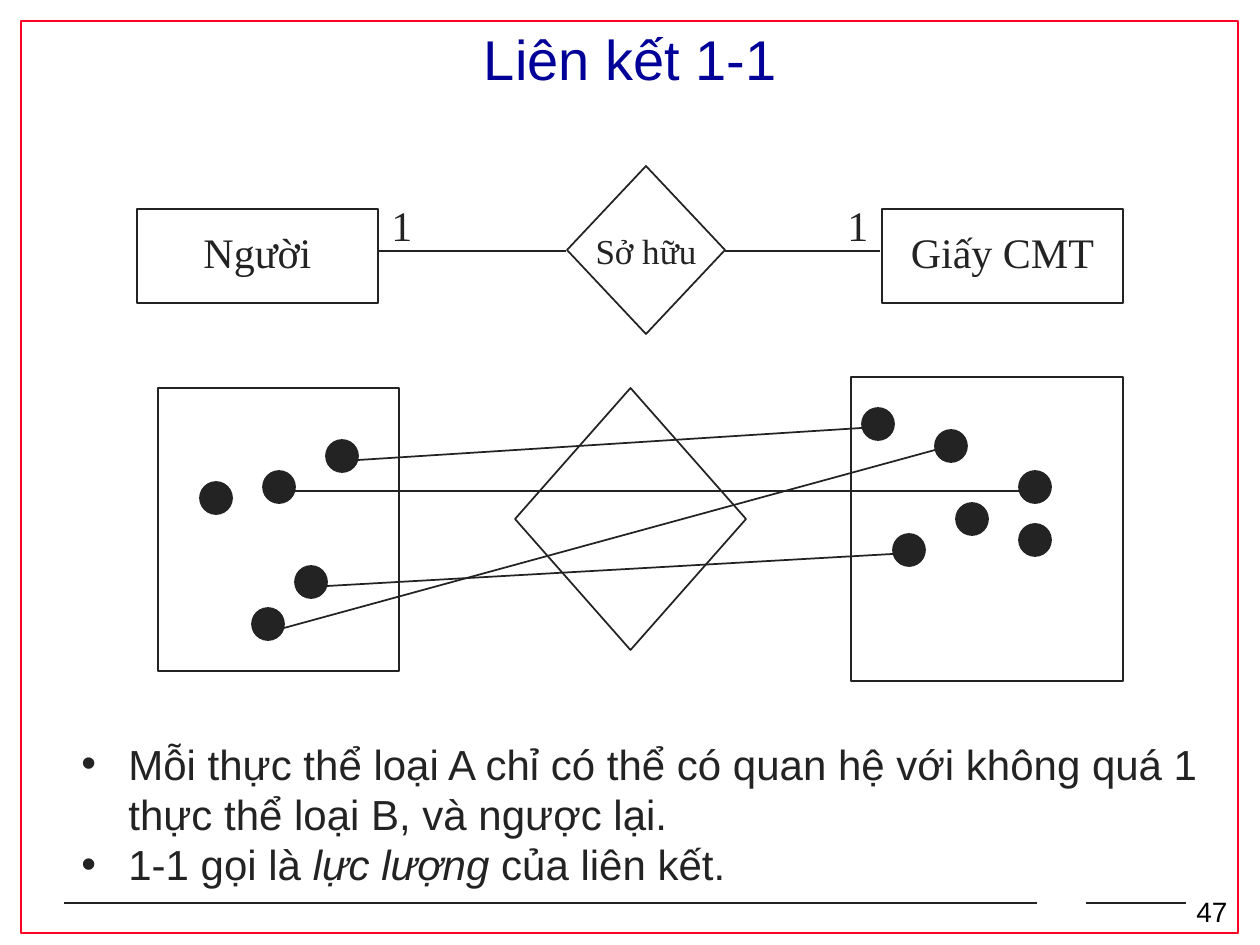
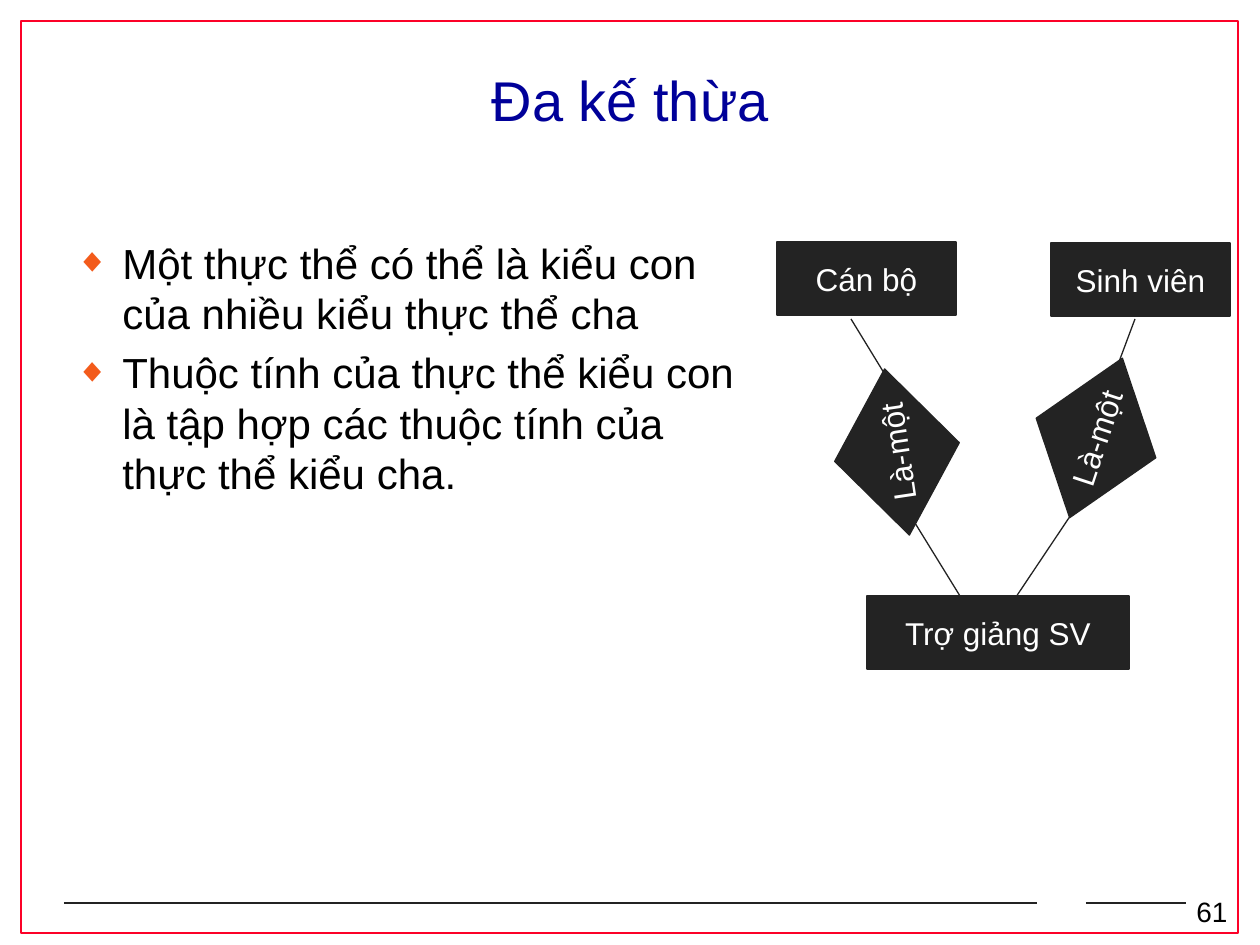
from dataclasses import dataclass

from lxml import etree
from pptx import Presentation
from pptx.dml.color import RGBColor
from pptx.enum import shapes, text
from pptx.oxml import ns
from pptx.util import Emu, Pt

PX = 914400 / 126
KIND = shapes.MSO_SHAPE
ANCHOR = text.MSO_ANCHOR
CENTER = text.PP_ALIGN.CENTER


@dataclass(frozen=True)
class Theme:
    ink: str = "232323"
    black: str = "000000"
    white: str = "FFFFFF"
    frame: str = "FC0128"
    title: str = "000099"
    accent: str = "F35B1B"
    sans: str = "Arial"
    serif: str = "Times New Roman"
    title_size: int = 32
    body_size: int = 24
    relation_size: int = 20
    node_size: int = 18
    number_size: int = 16
    line: float = 1
    thin_line: float = 0.75
    patch_line: float = 2.25


THEME = Theme()

FRAME = (21, 21, 1217, 912)
FOOTER_PATCH = (1033, 883, 55, 42)
FOOTER_Y = 903
FOOTER_RULES = [(64, 242), (233, 1037), (1086, 1186)]
NUMBER_AREA = (1184, 888, 58, 45)

ONE_TO_ONE = {
    "title": "Liên kết 1-1",
    "title_area": (95, 0, 1071, 116),
    "number": "47",
    "entities": [("Người", 137), ("Giấy CMT", 882)],
    "relation": ("Sở hữu", (567, 166, 158, 168)),
    "relation_lines": [(379, 566), (725, 880)],
    "cardinality": [("1", 379), ("1", 835)],
    "sets": [
        (KIND.RECTANGLE, (158, 388, 241, 283)),
        (KIND.RECTANGLE, (851, 377, 272, 304)),
        (KIND.DIAMOND, (515, 388, 231, 262)),
    ],
    "people": [(200, 482), (263, 471), (326, 440), (252, 608), (295, 566)],
    "cards": [(956, 503), (1019, 524), (1019, 471), (935, 430), (893, 534), (862, 408)],
    "links": [(3, 3), (4, 4), (1, 2), (2, 5)],
    "notes_area": (69, 732, 1155, 165),
    "notes": [
        [("Mỗi thực thể loại A chỉ có thể có quan hệ với không quá 1 thực thể loại B, và ngược lại.", False)],
        [("1-1 gọi là ", False), ("lực lượng ", True), ("của liên kết.", False)],
    ],
}

INHERITANCE = {
    "title": "Đa kế thừa",
    "title_area": (95, 63, 1071, 73),
    "number": "61",
    "points_area": (63, 231, 694, 630),
    "points": [
        [("Một thực thể có thể là kiểu con của nhiều kiểu thực thể cha", False)],
        [("Thuộc tính của thực thể kiểu con là tập hợp các thuộc tính của thực thể kiểu cha.", False)],
    ],
    "nodes": [
        ("Sinh viên", KIND.RECTANGLE, (1051, 243, 179, 73), 0),
        ("Cán bộ", KIND.RECTANGLE, (777, 242, 179, 73), 0),
        ("Là-một", KIND.DIAMOND, (813, 389, 168, 126), 261.5),
        ("Là-một", KIND.DIAMOND, (1012, 375, 168, 126), 288.3),
        ("Trợ giảng SV", KIND.RECTANGLE, (867, 596, 262, 73), 0),
    ],
    "edges": [
        (903, 404, 851, 319),
        (1135, 319, 1095, 426),
        (960, 596, 907, 510),
        (1087, 491, 1014, 600),
    ],
}

ENTITY_TOP, ENTITY_WIDTH, ENTITY_HEIGHT = 209, 241, 94
RELATION_Y = 251
CARDINALITY_TOP, CARDINALITY_WIDTH, CARDINALITY_HEIGHT = 193, 42, 63
DOT_SIZE, DOT_LINK_DROP = 32, 20
BULLET_INDENT = 47


def emu(*lengths):
    return [Emu(round(length * PX)) for length in lengths]


def color(value):
    return RGBColor.from_string(value)


def style_font(font, size, ink, face):
    font.size = Pt(size)
    font.color.rgb = color(ink)
    font.name = face


def write(shape, words, size, ink=THEME.ink, face=THEME.sans, align=CENTER,
          anchor=ANCHOR.MIDDLE, wrap=False, spacing=None):
    frame = shape.text_frame
    frame.text = words
    frame.word_wrap = wrap
    frame.vertical_anchor = anchor
    para = frame.paragraphs[0]
    para.alignment = align
    para.line_spacing = spacing
    style_font(para.runs[0].font, size, ink, face)


def add_text(page, area, words, size, **style):
    box = page.shapes.add_textbox(*emu(*area))
    write(box, words, size, **style)


def add_figure(page, kind, area, fill=None, line=THEME.ink, width=THEME.line):
    shape = page.shapes.add_shape(kind, *emu(*area))
    shape.shadow.inherit = False
    if fill:
        shape.fill.solid()
        shape.fill.fore_color.rgb = color(fill)
    else:
        shape.fill.background()
    shape.line.color.rgb = color(line)
    shape.line.width = Pt(width)
    return shape


def add_line(page, ends, width=THEME.line):
    line = page.shapes.add_connector(shapes.MSO_CONNECTOR.STRAIGHT, *emu(*ends))
    line.line.color.rgb = color(THEME.ink)
    line.line.width = Pt(width)
    etree.SubElement(line._element.spPr, ns.qn("a:effectLst"))


def add_bullet(para, symbol, ink, percent):
    props = para._p.get_or_add_pPr()
    indent = emu(BULLET_INDENT)[0]
    props.set("marL", str(indent))
    props.set("indent", str(-indent))
    bullet_color = etree.SubElement(props, ns.qn("a:buClr"))
    etree.SubElement(bullet_color, ns.qn("a:srgbClr"), val=ink)
    etree.SubElement(props, ns.qn("a:buSzPct"), val=str(percent * 1000))
    etree.SubElement(props, ns.qn("a:buFont"), typeface=THEME.sans)
    etree.SubElement(props, ns.qn("a:buChar"), char=symbol)


def add_list(page, area, items, symbol, ink, bullet_ink, percent=100, gap=0):
    frame = page.shapes.add_textbox(*emu(*area)).text_frame
    frame.word_wrap = True
    for index, spans in enumerate(items):
        para = frame.add_paragraph() if index else frame.paragraphs[0]
        add_bullet(para, symbol, bullet_ink, percent)
        if index:
            para.space_before = Pt(gap)
        for words, italic in spans:
            span = para.add_run()
            span.text = words
            span.font.italic = italic
            style_font(span.font, THEME.body_size, ink, THEME.sans)


def add_page(deck, content):
    page = deck.slides.add_slide(deck.slide_layouts[6])
    add_figure(page, KIND.RECTANGLE, FRAME, line=THEME.frame)
    add_figure(page, KIND.RECTANGLE, FOOTER_PATCH, THEME.white, THEME.white, THEME.patch_line)
    for start, end in FOOTER_RULES:
        add_line(page, (start, FOOTER_Y, end, FOOTER_Y))
    add_text(page, NUMBER_AREA, content["number"], THEME.number_size, ink=THEME.black,
             align=text.PP_ALIGN.LEFT, anchor=ANCHOR.TOP)
    add_text(page, content["title_area"], content["title"], THEME.title_size,
             ink=THEME.title, wrap=True)
    return page


def draw_relation(page, content):
    for name, left in content["entities"]:
        entity = add_figure(page, KIND.RECTANGLE, (left, ENTITY_TOP, ENTITY_WIDTH, ENTITY_HEIGHT))
        write(entity, name, THEME.body_size, face=THEME.serif, spacing=0.8)
    name, area = content["relation"]
    relation = add_figure(page, KIND.DIAMOND, area)
    write(relation, name, THEME.relation_size, face=THEME.serif)
    for start, end in content["relation_lines"]:
        add_line(page, (start, RELATION_Y, end, RELATION_Y))
    for count, left in content["cardinality"]:
        add_text(page, (left, CARDINALITY_TOP, CARDINALITY_WIDTH, CARDINALITY_HEIGHT), count,
                 THEME.body_size, face=THEME.serif, align=text.PP_ALIGN.LEFT,
                 anchor=ANCHOR.BOTTOM, wrap=True)


def draw_mapping(page, content):
    people, cards = content["people"], content["cards"]
    for left, top in people + cards:
        add_figure(page, KIND.OVAL, (left, top, DOT_SIZE, DOT_SIZE), THEME.ink)
    for kind, area in content["sets"]:
        add_figure(page, kind, area)
    for person, card in content["links"]:
        (left, top), (card_left, card_top) = people[person], cards[card]
        add_line(page, (left + DOT_SIZE, top + DOT_LINK_DROP, card_left, card_top + DOT_LINK_DROP))


def draw_inheritance(page, content):
    for ends in content["edges"]:
        add_line(page, ends, THEME.thin_line)
    for name, kind, area, angle in content["nodes"]:
        node = add_figure(page, kind, area, THEME.ink, width=THEME.thin_line)
        node.rotation = angle
        write(node, name, THEME.node_size, ink=THEME.white)


def main():
    deck = Presentation()
    deck.slide_width, deck.slide_height = emu(1260, 945)

    page = add_page(deck, ONE_TO_ONE)
    draw_relation(page, ONE_TO_ONE)
    draw_mapping(page, ONE_TO_ONE)
    add_list(page, ONE_TO_ONE["notes_area"], ONE_TO_ONE["notes"], "•", THEME.ink, THEME.ink)

    page = add_page(deck, INHERITANCE)
    add_list(page, INHERITANCE["points_area"], INHERITANCE["points"], "◆", THEME.black,
             THEME.accent, percent=80, gap=5)
    draw_inheritance(page, INHERITANCE)

    deck.save("out.pptx")


if __name__ == "__main__":
    main()
